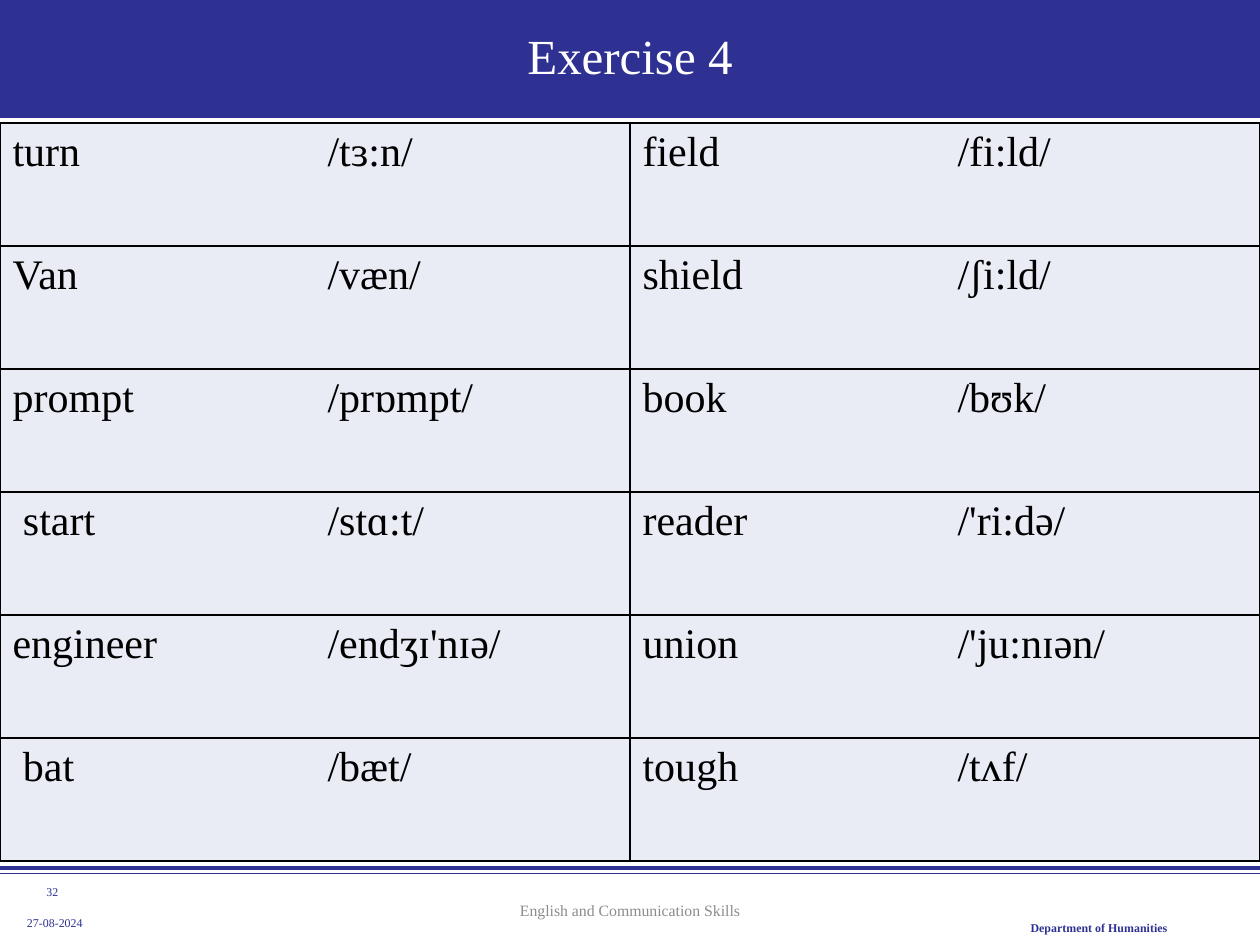
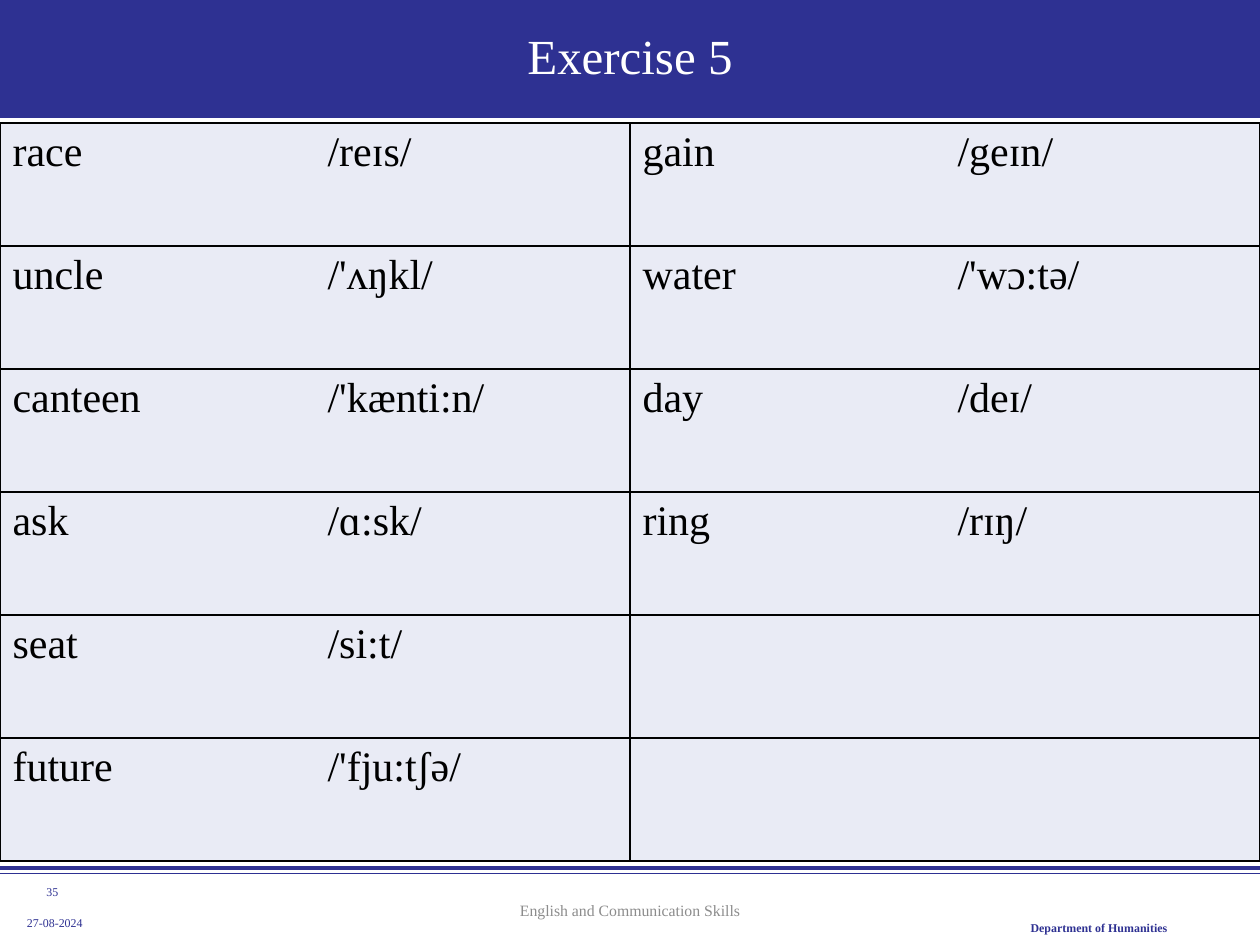
"""Build two phonetic transcription exercise slides with a shared title band and footer."""
from lxml.etree import SubElement
from pptx import Presentation
from pptx.dml.color import RGBColor
from pptx.enum.shapes import MSO_CONNECTOR, MSO_SHAPE
from pptx.enum.text import MSO_ANCHOR, PP_ALIGN
from pptx.oxml.ns import qn
from pptx.util import Emu, Pt

EXERCISES = [
    {"title": "Exercise 4", "number": "32", "indented": {"start", "bat"}, "rows": [
        ("turn", "/tɜ:n/", "field", "/fi:ld/"),
        ("Van", "/væn/", "shield", "/ʃi:ld/"),
        ("prompt", "/prɒmpt/", "book", "/bʊk/"),
        ("start", "/stɑ:t/", "reader", "/'ri:də/"),
        ("engineer", "/endʒɪ'nɪə/", "union", "/'ju:nɪən/"),
        ("bat", "/bæt/", "tough", "/tʌf/"),
    ]},
    {"title": "Exercise 5", "number": "35", "indented": set(), "rows": [
        ("race", "/reɪs/", "gain", "/geɪn/"),
        ("uncle", "/'ʌŋkl/", "water", "/'wɔ:tə/"),
        ("canteen", "/'kænti:n/", "day", "/deɪ/"),
        ("ask", "/ɑ:sk/", "ring", "/rɪŋ/"),
        ("seat", "/si:t/", "", ""),
        ("future", "/'fju:tʃə/", "", ""),
    ]},
]
DATE = "27-08-2024"
DEPARTMENT = "Department of Humanities"
COURSE = "English and Communication Skills"

COLORS = {"navy": "2E3192", "white": "FFFFFF", "black": "000000",
          "gray": "8C8C8C", "cell": "E9EBF5"}
FONT = "Times New Roman"
WIDTH, HEIGHT = 1260, 945
BAND_H = 118
TABLE_TOP, ROW_H = 123, 123
WORD_INDENT = 23
FOOTER_RULES = [(873, 0.5), (868, 2)]


def px(n):
    return Emu(round(n * 914400 / 126))


def rgb(name):
    return RGBColor.from_string(COLORS[name])


def style(p, size, color, bold=False, align=PP_ALIGN.LEFT):
    p.alignment = align
    p.font.name = FONT
    p.font.size = Pt(size)
    p.font.bold = bold
    p.font.color.rgb = rgb(color)


def add_text(slide, text, box, size, color, align=PP_ALIGN.CENTER, bold=False,
             anchor=MSO_ANCHOR.MIDDLE, margins=(13, 6)):
    tf = slide.shapes.add_textbox(*map(px, box)).text_frame
    tf.word_wrap = True
    tf.vertical_anchor = anchor
    tf.margin_left = tf.margin_right = px(margins[0])
    tf.margin_top = tf.margin_bottom = px(margins[1])
    p = tf.paragraphs[0]
    p.text = text
    style(p, size, color, bold, align)


def add_title(slide, text):
    sp = slide.shapes.add_shape(MSO_SHAPE.RECTANGLE, 0, 0, px(WIDTH), px(BAND_H))
    sp.shadow.inherit = False
    sp.fill.solid()
    sp.fill.fore_color.rgb = rgb("navy")
    sp.line.fill.background()
    tf = sp.text_frame
    tf.vertical_anchor = MSO_ANCHOR.MIDDLE
    p = tf.paragraphs[0]
    p.text = text
    p.line_spacing = 0.9
    style(p, 28, "white", align=PP_ALIGN.CENTER)


def add_footer(slide, number):
    for y, weight in FOOTER_RULES:
        line = slide.shapes.add_connector(MSO_CONNECTOR.STRAIGHT, 0, px(y), px(WIDTH), px(y))
        line.line.color.rgb = rgb("navy")
        line.line.width = Pt(weight)
        SubElement(line._element.spPr, qn("a:effectLst"))
    add_text(slide, DEPARTMENT, (944, 916, 310, 24), 6.8, "navy", bold=True,
             anchor=MSO_ANCHOR.TOP, margins=(9, 5))
    add_text(slide, number, (8, 880, 89, 24), 6.8, "navy", margins=(0, 0))
    add_text(slide, DATE, (14, 898, 101, 50), 6.8, "navy", PP_ALIGN.LEFT)
    add_text(slide, COURSE, (417, 885, 426, 50), 9, "gray")


def set_borders(cell, sides):
    tcPr = cell._tc.get_or_add_tcPr()
    for side in "LRTB":
        ln = SubElement(tcPr, qn(f"a:ln{side}"), w=str(Pt(1)))
        if side in sides:
            fill = SubElement(ln, qn("a:solidFill"))
            SubElement(fill, qn("a:srgbClr"), val=COLORS["black"])
        else:
            SubElement(ln, qn("a:noFill"))


def add_word_table(slide, rows, indented):
    n_rows, n_cols = len(rows), len(rows[0])
    table = slide.shapes.add_table(n_rows, n_cols, 0, px(TABLE_TOP),
                                   px(WIDTH), px(ROW_H * n_rows)).table
    table.first_row = table.horz_banding = False
    for r, row in enumerate(rows):
        table.rows[r].height = px(ROW_H)
        for c, text in enumerate(row):
            cell = table.cell(r, c)
            set_borders(cell, "TBR" if c % 2 else "TBL")
            cell.fill.solid()
            cell.fill.fore_color.rgb = rgb("cell")
            if text in indented:
                cell.margin_left = px(WORD_INDENT)
            p = cell.text_frame.paragraphs[0]
            p.text = text
            style(p, 24, "black")


def main():
    prs = Presentation()
    prs.slide_width, prs.slide_height = px(WIDTH), px(HEIGHT)
    for exercise in EXERCISES:
        slide = prs.slides.add_slide(prs.slide_layouts[6])
        add_title(slide, exercise["title"])
        add_word_table(slide, exercise["rows"], exercise["indented"])
        add_footer(slide, exercise["number"])
    prs.save("out.pptx")


if __name__ == "__main__":
    main()
